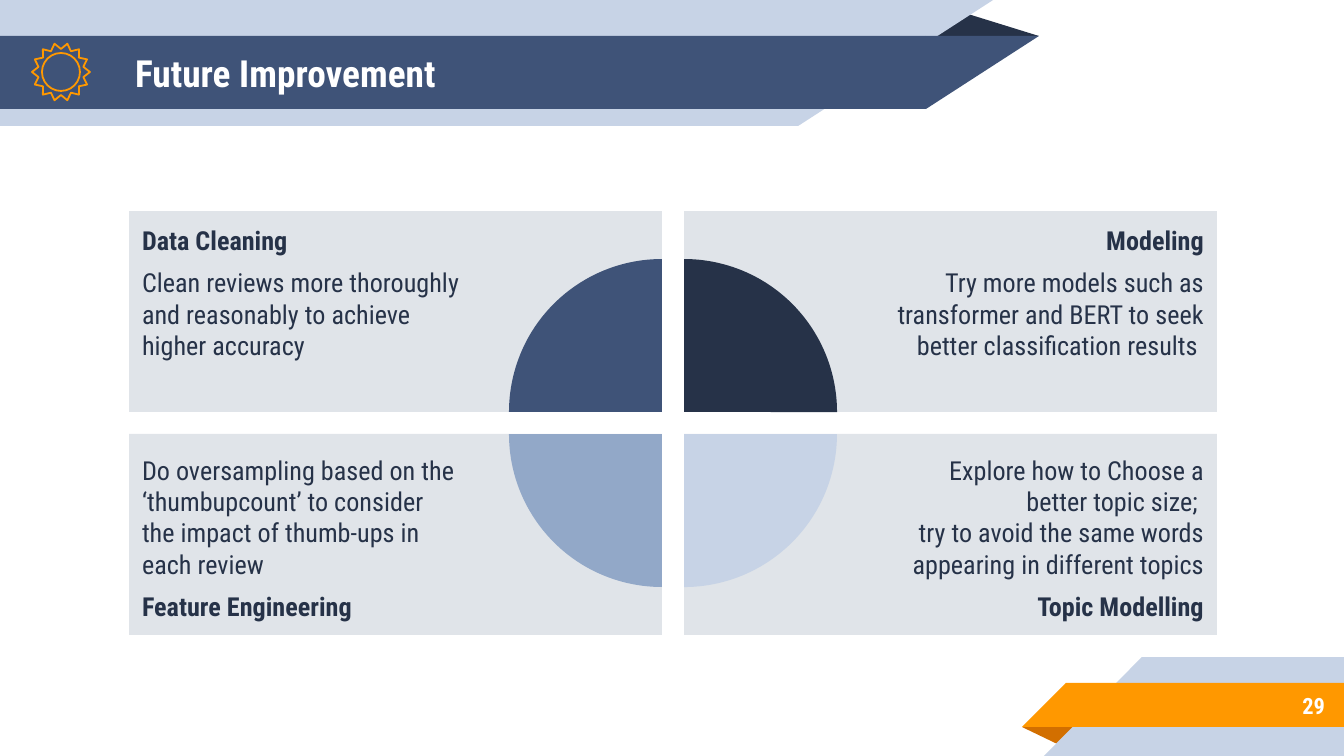
from math import cos, pi, sin

from pptx import Presentation
from pptx.dml.color import RGBColor
from pptx.enum.shapes import MSO_SHAPE
from pptx.enum.text import MSO_ANCHOR, MSO_AUTO_SIZE, PP_ALIGN
from pptx.util import Pt

SCALE = 9144000 / 1344  # EMU in one px
FONT = "Roboto Condensed"
COLORS = {
    "navy": "263248",
    "blue": "3F5378",
    "steel": "92A8C8",
    "pale": "C7D3E6",
    "panel": "E0E4E9",
    "orange": "FF9800",
    "rust": "D26F00",
    "white": "FFFFFF",
}

PANEL_WIDTH, PANEL_HEIGHT, GAP = 533, 201, 22
GRID_LEFT, GRID_TOP = 129, 211
PIE_RADIUS = 153
INSET, WIDE_INSET = 13, 201

# column, row, pie colour, pie rotation, heading, body paragraphs
QUADRANTS = [
    (0, 0, "blue", 0, "Data Cleaning",
     ["Clean reviews more thoroughly and reasonably to achieve higher accuracy"]),
    (1, 0, "navy", 90, "Modeling",
     ["Try more models such as transformer and BERT to seek better classification results "]),
    (0, 1, "steel", 270, "Feature Engineering",
     ["Do oversampling based on the ‘thumbupcount’ to consider the impact of thumb-ups in each review"]),
    (1, 1, "pale", 180, "Topic Modelling",
     ["Explore how to Choose a better topic size; ",
      "try to avoid the same words appearing in different topics"]),
]


def px(value):
    return round(value * SCALE)


def rgb(name):
    return RGBColor.from_string(COLORS[name])


def add_filled(slide, kind, box, color, rotation=0):
    shape = slide.shapes.add_shape(kind, *map(px, box))
    shape.shadow.inherit = False
    shape.fill.solid()
    shape.fill.fore_color.rgb = rgb(color)
    shape.line.fill.background()
    shape.rotation = rotation
    return shape


def add_ribbon(slide, body, slant_box, color, rotation):
    """A rectangle ending in a mirrored right triangle."""
    add_filled(slide, MSO_SHAPE.RECTANGLE, body, color)
    slant = add_filled(slide, MSO_SHAPE.RIGHT_TRIANGLE, slant_box, color, rotation)
    slant._element.spPr.xfrm.set("flipH", "1")


def add_fold(slide, box, color, rotation=0):
    fold = add_filled(slide, MSO_SHAPE.ISOSCELES_TRIANGLE, box, color, rotation)
    fold.adjustments[0] = 0.32


def set_frame(frame, anchor, left=INSET, right=INSET):
    frame.word_wrap = True
    frame.auto_size = MSO_AUTO_SIZE.NONE
    frame.vertical_anchor = anchor
    frame.margin_left, frame.margin_right = px(left), px(right)
    frame.margin_top = frame.margin_bottom = px(INSET)


def format_paragraph(paragraph, size, color, bold, alignment):
    paragraph.alignment = alignment
    for run in paragraph.runs:
        run.font.name = FONT
        run.font.size = Pt(size)
        run.font.bold = bold
        run.font.color.rgb = rgb(color)


def place_title(slide, text):
    title = slide.shapes.title
    title.left, title.top, title.width, title.height = map(px, (122, 36, 773, 73))
    title.text_frame.text = text
    set_frame(title.text_frame, MSO_ANCHOR.MIDDLE)
    format_paragraph(title.text_frame.paragraphs[0], 20, "white", True, PP_ALIGN.LEFT)
    # Bring the title in front of the banner
    slide.shapes._spTree.append(title._element)


def add_page_number(slide, text):
    box = slide.shapes.add_textbox(*map(px, (1119, 682, 219, 47)))
    box.text_frame.text = text
    set_frame(box.text_frame, MSO_ANCHOR.MIDDLE)
    format_paragraph(box.text_frame.paragraphs[0], 12, "white", True, PP_ALIGN.RIGHT)


def add_panel(slide, column, row, heading, body):
    left = GRID_LEFT + column * (PANEL_WIDTH + GAP)
    top = GRID_TOP + row * (PANEL_HEIGHT + GAP)
    panel = add_filled(slide, MSO_SHAPE.RECTANGLE,
                       (left, top, PANEL_WIDTH, PANEL_HEIGHT), "panel")
    insets = (WIDE_INSET, INSET) if column else (INSET, WIDE_INSET)
    frame = panel.text_frame
    set_frame(frame, MSO_ANCHOR.BOTTOM if row else MSO_ANCHOR.TOP, *insets)

    # Headings sit on the outer edge: first on top, last below
    texts = body + [heading] if row else [heading] + body
    frame.text = "\n".join(texts)
    alignment = PP_ALIGN.RIGHT if column else PP_ALIGN.LEFT
    for paragraph, text in zip(frame.paragraphs, texts):
        format_paragraph(paragraph, 14, "navy", text == heading, alignment)
    frame.paragraphs[-1].space_before = Pt(6)
    frame.paragraphs[-1].space_after = Pt(6)


def add_quarter(slide, column, row, color, rotation):
    """A quarter disc centred on the panel's inner corner."""
    center_x = GRID_LEFT + PANEL_WIDTH + column * GAP
    center_y = GRID_TOP + PANEL_HEIGHT + row * GAP
    box = (center_x - PIE_RADIUS, center_y - PIE_RADIUS, 2 * PIE_RADIUS, 2 * PIE_RADIUS)
    pie = add_filled(slide, MSO_SHAPE.PIE, box, color, rotation)
    pie.adjustments[0] = 108  # 180 degrees
    pie.adjustments[1] = 162  # 270 degrees


def add_sun(slide, center_x, center_y, teeth=14, outer=29, inner=23, disc=19):
    points = []
    for step in range(2 * teeth):
        radius = inner if step % 2 else outer
        angle = step * pi / teeth
        points.append((px(center_x + radius * cos(angle)),
                       px(center_y + radius * sin(angle))))
    builder = slide.shapes.build_freeform(*points[0])
    builder.add_line_segments(points[1:], close=True)
    rays = builder.convert_to_shape()
    circle = slide.shapes.add_shape(
        MSO_SHAPE.OVAL, *map(px, (center_x - disc, center_y - disc, 2 * disc, 2 * disc)))
    for shape in (rays, circle):
        shape.shadow.inherit = False
        shape.fill.background()
        shape.line.color.rgb = rgb("orange")
        shape.line.width = Pt(0.96)


def main():
    presentation = Presentation()
    presentation.slide_width, presentation.slide_height = px(1344), px(756)
    slide = presentation.slides.add_slide(presentation.slide_layouts[5])

    # Title banner
    add_fold(slide, (925, 12, 114, 24), "navy")
    add_ribbon(slide, (0, 0, 798, 126), (798, 0, 195, 126), "pale", 180)
    add_ribbon(slide, (0, 36, 926, 73), (926, 36, 113, 73), "blue", 180)

    # Page number corner
    add_fold(slide, (1022, 727, 58, 19), "rust", 180)
    add_ribbon(slide, (1142, 657, 202, 99), (1044, 657, 98, 99), "pale", 0)
    add_ribbon(slide, (1066, 683, 278, 44), (1022, 683, 44, 44), "orange", 0)

    place_title(slide, "Future Improvement")
    add_page_number(slide, "29")

    # Four panels, then the disc quarters on top
    for column, row, _, _, heading, body in QUADRANTS:
        add_panel(slide, column, row, heading, body)
    for column, row, color, rotation, _, _ in QUADRANTS:
        add_quarter(slide, column, row, color, rotation)

    add_sun(slide, 61, 72)
    presentation.save("out.pptx")


if __name__ == "__main__":
    main()
